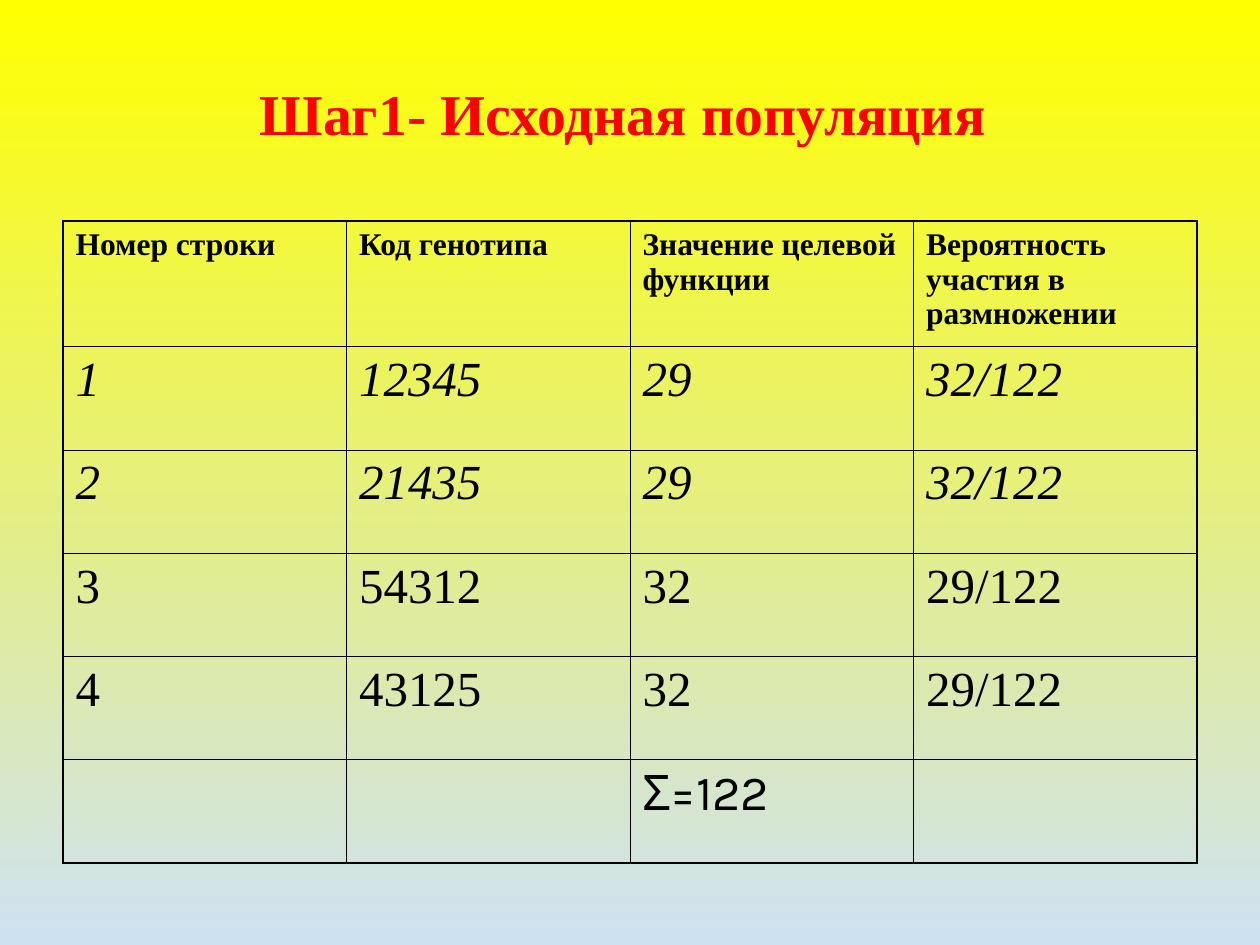
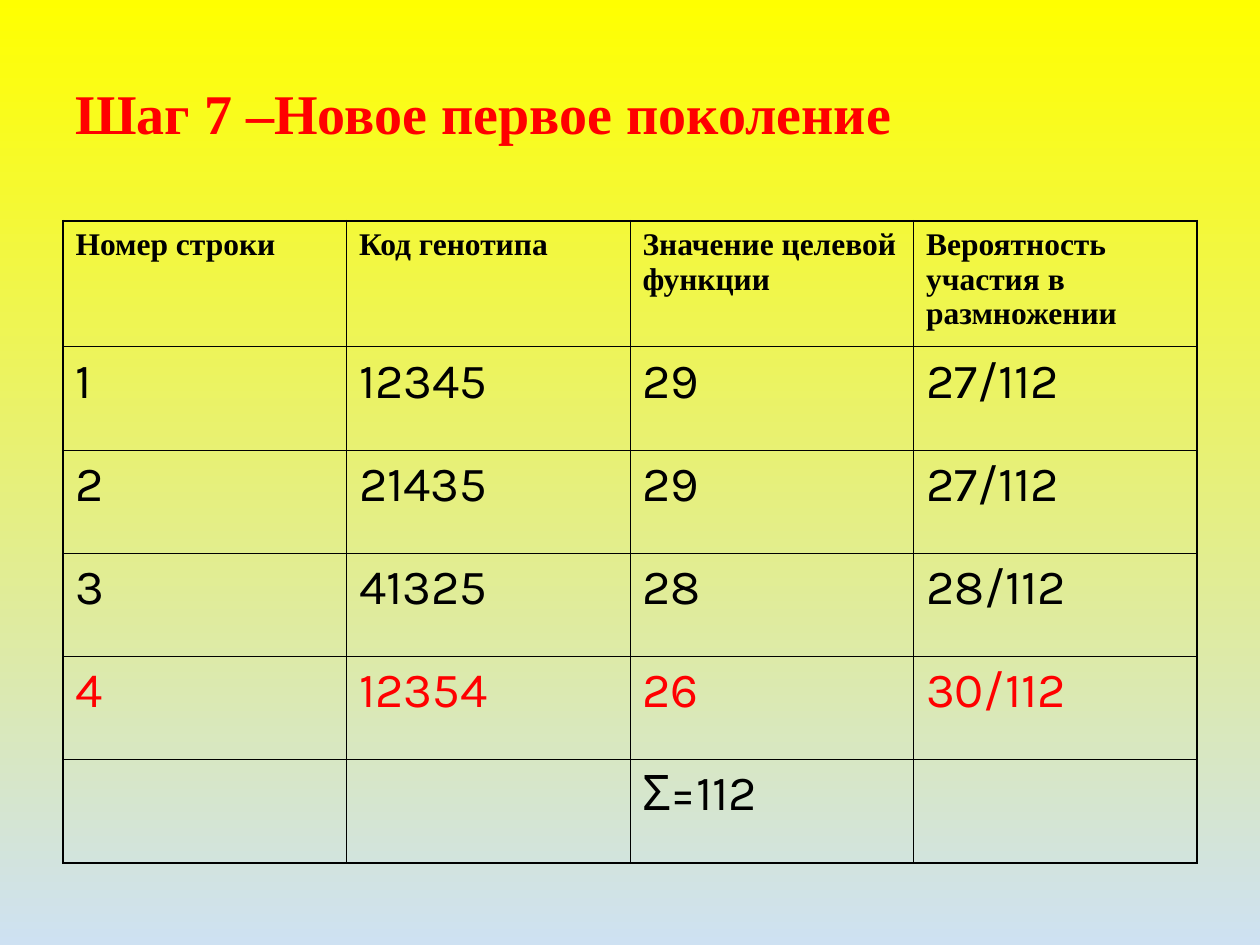
from dataclasses import dataclass

from lxml import etree
from pptx import Presentation
from pptx import util as u
from pptx.dml.color import RGBColor
from pptx.enum import text
from pptx.oxml import ns


@dataclass(frozen=True)
class Theme:
    sky_top: str = "FFFF00"
    sky_bottom: str = "CEE1F2"
    accent: str = "FF0000"
    ink: str = "000000"
    serif: str = "Times New Roman"
    sans: str = "Karla"
    header_size: int = 18
    body_size: int = 28
    outer_line: float = 1.08
    inner_line: float = 0.45


THEME = Theme()


@dataclass(frozen=True)
class Style:
    size: int
    font: str
    color: str = THEME.ink
    bold: bool = False
    italic: bool = False


HEADER = Style(THEME.header_size, THEME.serif, bold=True)
SERIF = Style(THEME.body_size, THEME.serif)
SERIF_ITALIC = Style(THEME.body_size, THEME.serif, italic=True)
SANS = Style(THEME.body_size, THEME.sans)
SANS_ACCENT = Style(THEME.body_size, THEME.sans, THEME.accent)


@dataclass(frozen=True)
class Row:
    style: Style
    values: tuple[str, ...]


@dataclass(frozen=True)
class Step:
    title: str
    title_size: int
    title_align: text.PP_ALIGN
    rows: tuple[Row, ...]


HEADER_ROW = Row(HEADER, ("Номер строки", "Код генотипа", "Значение целевой функции",
                          "Вероятность участия в размножении"))

STEPS = (
    Step("Шаг1- Исходная популяция ", 33, text.PP_ALIGN.CENTER, (
        Row(SERIF_ITALIC, ("1", "12345", "29", "32/122")),
        Row(SERIF_ITALIC, ("2", "21435", "29", "32/122")),
        Row(SERIF, ("3", "54312", "32", "29/122")),
        Row(SERIF, ("4", "43125", "32", "29/122")),
        Row(SANS, ("", "", "Σ=122", "")),
    )),
    Step("Шаг 7 –Новое первое поколение", 32, text.PP_ALIGN.LEFT, (
        Row(SANS, ("1", "12345", "29", "27/112")),
        Row(SANS, ("2", "21435", "29", "27/112")),
        Row(SANS, ("3", "41325", "28", "28/112")),
        Row(SANS_ACCENT, ("4", "12354", "26", "30/112")),
        Row(SANS, ("", "", "Σ=112", "")),
    )),
)

# Shared grid
LEFT, WIDTH = u.Cm(1.27), u.Cm(22.86)
TITLE_TOP, TITLE_HEIGHT = u.Cm(0.76), u.Cm(3.18)
TABLE_TOP = u.Cm(4.45)
HEADER_HEIGHT, ROW_HEIGHT = u.Cm(2.54), u.Cm(2.08)


def add_run(p, content: str, style: Style) -> None:
    r = p.add_run()
    r.text = content
    r.font.size = u.Pt(style.size)
    r.font.name = style.font
    r.font.bold = style.bold
    r.font.italic = style.italic
    r.font.color.rgb = RGBColor.from_string(style.color)


def set_background(master) -> None:
    fill = master.background.fill
    fill.gradient()
    fill.gradient_angle = 270
    for stop, color in zip(fill.gradient_stops, (THEME.sky_top, THEME.sky_bottom)):
        stop.color.rgb = RGBColor.from_string(color)


def add_title(s, step: Step) -> None:
    tf = s.shapes.add_textbox(LEFT, TITLE_TOP, WIDTH, TITLE_HEIGHT).text_frame
    tf.word_wrap = True
    tf.vertical_anchor = text.MSO_ANCHOR.MIDDLE
    p = tf.paragraphs[0]
    p.alignment = step.title_align
    p.line_spacing = 0.9
    add_run(p, step.title, Style(step.title_size, THEME.serif, THEME.accent, bold=True))


def set_borders(cell, outer: dict[str, bool]) -> None:
    """Draw the four cell sides; those on the table's edge are heavier."""
    tc_pr = cell._tc.get_or_add_tcPr()
    for side, is_outer in outer.items():
        width = u.Pt(THEME.outer_line if is_outer else THEME.inner_line)
        ln = etree.SubElement(tc_pr, ns.qn(f"a:ln{side}"), w=str(int(width)))
        fill = etree.SubElement(ln, ns.qn("a:solidFill"))
        etree.SubElement(fill, ns.qn("a:srgbClr"), val=THEME.ink)


def add_table(s, rows: tuple[Row, ...]) -> None:
    n_rows, n_cols = len(rows), len(HEADER_ROW.values)
    height = HEADER_HEIGHT + ROW_HEIGHT * (n_rows - 1)
    table = s.shapes.add_table(n_rows, n_cols, LEFT, TABLE_TOP, WIDTH, height).table
    table.first_row = table.horz_banding = False
    for i, row in enumerate(rows):
        table.rows[i].height = ROW_HEIGHT if i else HEADER_HEIGHT
        for j, value in enumerate(row.values):
            cell = table.cell(i, j)
            set_borders(cell, {"L": j == 0, "R": j == n_cols - 1,
                               "T": i == 0, "B": i == n_rows - 1})
            cell.fill.background()
            if value:
                p = cell.text_frame.paragraphs[0]
                p.space_before = u.Pt(row.style.size / 4)
                add_run(p, value, row.style)


def main() -> None:
    prs = Presentation()
    prs.slide_width, prs.slide_height = u.Cm(25.4), u.Cm(19.05)
    set_background(prs.slide_master)
    for step in STEPS:
        s = prs.slides.add_slide(prs.slide_layouts[6])
        add_title(s, step)
        add_table(s, (HEADER_ROW, *step.rows))
    prs.save("out.pptx")


if __name__ == "__main__":
    main()
